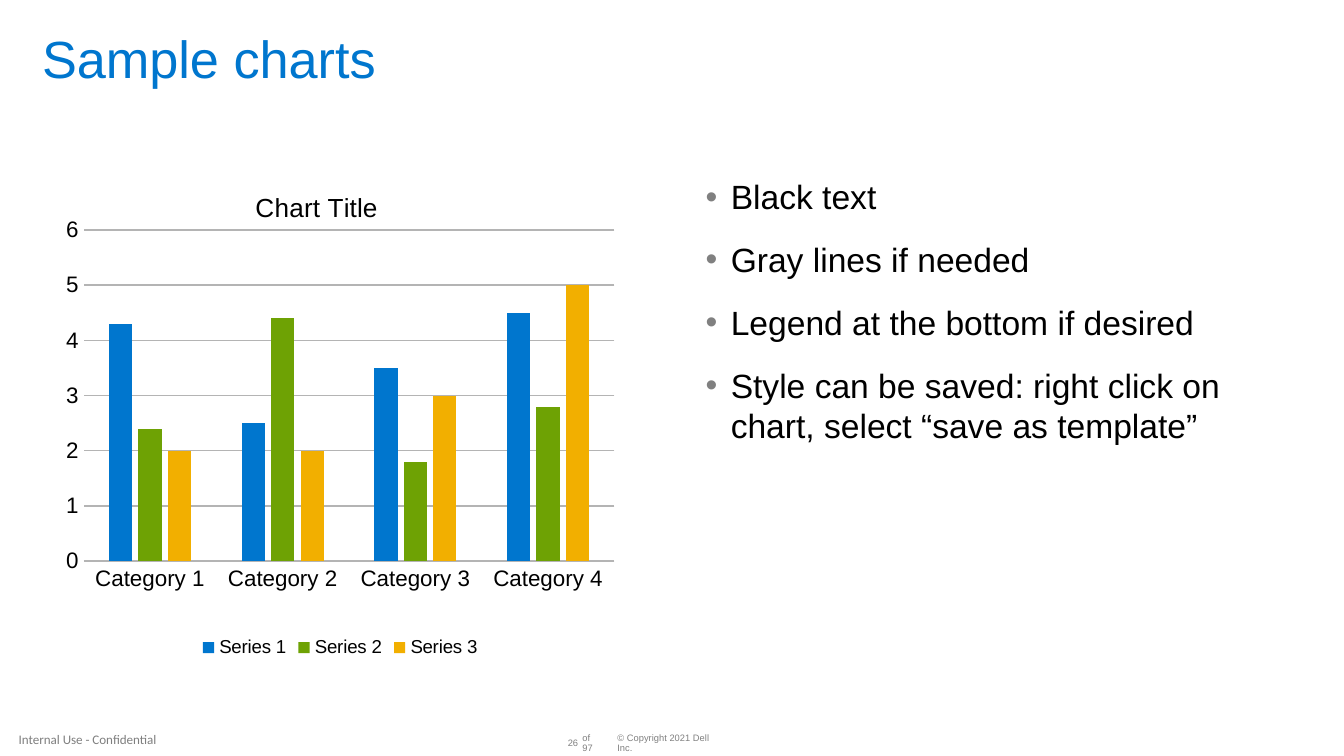
from lxml import etree
from pptx import Presentation, util as u
from pptx.chart.data import CategoryChartData
from pptx.dml.color import RGBColor
from pptx.enum import chart as ch, text
from pptx.oxml.ns import qn

PX = 9525
SIZE = (960, 540)
MARGIN, TOP, COL_W, COL_H = 30, 126, 426, 348
BLUE, BLACK, GRAY, LINE = "0076CE", "000000", "808080", "B4B4B4"
LEFT, RIGHT, CENTER = text.PP_ALIGN.LEFT, text.PP_ALIGN.RIGHT, text.PP_ALIGN.CENTER
MIDDLE, UPPER = text.MSO_ANCHOR.MIDDLE, text.MSO_ANCHOR.TOP

SMALL = {"size": 5, "name": "Arial", "color": GRAY}
FOOTERS = [
    ("© Copyright 2021 Dell Inc.", (441, 527, 78, 8), SMALL,
     {"line_spacing": 0.9, "space_after": u.Pt(1)}),
    ("26", (405, 527, 8, 8), SMALL, {"line_spacing": 0.9, "alignment": RIGHT}),
    ("of 97", (416, 527, 14, 8), SMALL, {"line_spacing": 0.9}),
    ("Internal Use - Confidential", (0, 517, 125, 22),
     {"size": 7, "name": "Calibri", "color": "7F7F7F"}, {"alignment": CENTER}),
]
TITLE = "Sample charts"
BULLETS = [
    "Black text",
    "Gray lines if needed",
    "Legend at the bottom if desired",
    "Style can be saved: right click on chart, select “save as template”",
]
CATEGORIES = [f"Category {n}" for n in range(1, 5)]
SERIES = [
    ("Series 1", (4.3, 2.5, 3.5, 4.5), BLUE),
    ("Series 2", (2.4, 4.4, 1.8, 2.8), "6EA204"),
    ("Series 3", (2, 2, 3, 5), "F2AF00"),
]
CHART_TITLE = "Chart Title"
TITLE_AT = {"xMode": "edge", "yMode": "edge", "x": 0.35, "y": 0.02}
PLOT_AT = {"layoutTarget": "inner", "xMode": "edge", "yMode": "edge",
           "x": 0.07, "y": 0.11, "w": 0.89, "h": 0.68}


def rgb(value):
    return RGBColor.from_string(value)


def apply(obj, values):
    for key, value in values.items():
        setattr(obj, key, value)


def style_font(font, size, color, name="Arial"):
    apply(font, {"size": u.Pt(size), "name": name, "bold": False})
    font.color.rgb = rgb(color)


def style_line(line, color, width):
    line.color.rgb = rgb(color)
    line.width = u.Pt(width)


def add_bullet(p):
    pPr = p._p.get_or_add_pPr()
    pPr.set("marL", str(18 * PX))
    pPr.set("indent", str(-18 * PX))
    color = etree.SubElement(pPr, qn("a:buClr"))
    etree.SubElement(color, qn("a:srgbClr"), val=GRAY)
    etree.SubElement(pPr, qn("a:buFont"), typeface="Arial")
    etree.SubElement(pPr, qn("a:buChar"), char="•")


def add_text(s, lines, box, font, para=None, anchor=MIDDLE, bullets=False):
    tf = s.shapes.add_textbox(*(v * PX for v in box)).text_frame
    apply(tf, {"word_wrap": True, "vertical_anchor": anchor, "margin_left": 0,
               "margin_right": 0, "margin_top": 0, "margin_bottom": 0})
    for i, line in enumerate(lines):
        p = tf.add_paragraph() if i else tf.paragraphs[0]
        if bullets:
            add_bullet(p)
        if bullets and i:
            p.space_before = u.Pt(12)
        apply(p, para or {})
        r = p.add_run()
        r.text = line
        style_font(r.font, **font)


def set_layout(parent, index, values):
    for old in parent.findall(qn("c:layout")):
        parent.remove(old)
    layout = etree.Element(qn("c:layout"))
    manual = etree.SubElement(layout, qn("c:manualLayout"))
    for key, value in values.items():
        etree.SubElement(manual, qn(f"c:{key}"), val=str(value))
    parent.insert(index, layout)


def add_column_chart(s, box):
    data = CategoryChartData()
    data.categories = CATEGORIES
    for name, values, _ in SERIES:
        data.add_series(name, values)
    chart = s.shapes.add_chart(ch.XL_CHART_TYPE.COLUMN_CLUSTERED,
                               *(v * PX for v in box), data).chart
    style_font(chart.font, 10, "444444")

    chart.has_title = True
    p = chart.chart_title.text_frame.paragraphs[0]
    r = p.add_run()
    r.text = CHART_TITLE
    style_font(r.font, 14, BLACK)
    set_layout(chart.chart_title._element, 1, TITLE_AT)
    set_layout(chart._chartSpace.find(".//" + qn("c:plotArea")), 0, PLOT_AT)

    chart.has_legend = True
    apply(chart.legend, {"position": ch.XL_LEGEND_POSITION.BOTTOM,
                         "include_in_layout": False})
    style_font(chart.legend.font, 10, BLACK)

    none = ch.XL_TICK_MARK.NONE
    cat, val = chart.category_axis, chart.value_axis
    for axis in (cat, val):
        apply(axis, {"major_tick_mark": none, "minor_tick_mark": none})
        style_font(axis.tick_labels.font, 12, BLACK)
    apply(val, {"minimum_scale": 0, "maximum_scale": 6, "major_unit": 1,
                "has_major_gridlines": True})
    style_line(cat.format.line, LINE, 1)
    style_line(val.major_gridlines.format.line, LINE, 0.75)
    val.format.line.fill.background()

    plot = chart.plots[0]
    apply(plot, {"gap_width": 219, "overlap": -27, "vary_by_categories": False})
    for series, (_, _, color) in zip(plot.series, SERIES):
        series.format.fill.solid()
        series.format.fill.fore_color.rgb = rgb(color)


def main():
    prs = Presentation()
    prs.slide_width, prs.slide_height = (v * PX for v in SIZE)
    s = prs.slides.add_slide(prs.slide_layouts[6])
    for line, box, font, para in FOOTERS:
        add_text(s, [line], box, font, para)
    add_text(s, [TITLE], (MARGIN, 24, SIZE[0] - 2 * MARGIN, 40),
             {"size": 28, "color": BLUE}, {"line_spacing": 0.9}, UPPER)
    add_column_chart(s, (MARGIN, TOP, COL_W, COL_H))
    add_text(s, BULLETS, (SIZE[0] - MARGIN - COL_W, TOP, COL_W, COL_H),
             {"size": 18, "color": BLACK}, {"alignment": LEFT}, UPPER, True)
    prs.save("out.pptx")


if __name__ == "__main__":
    main()
